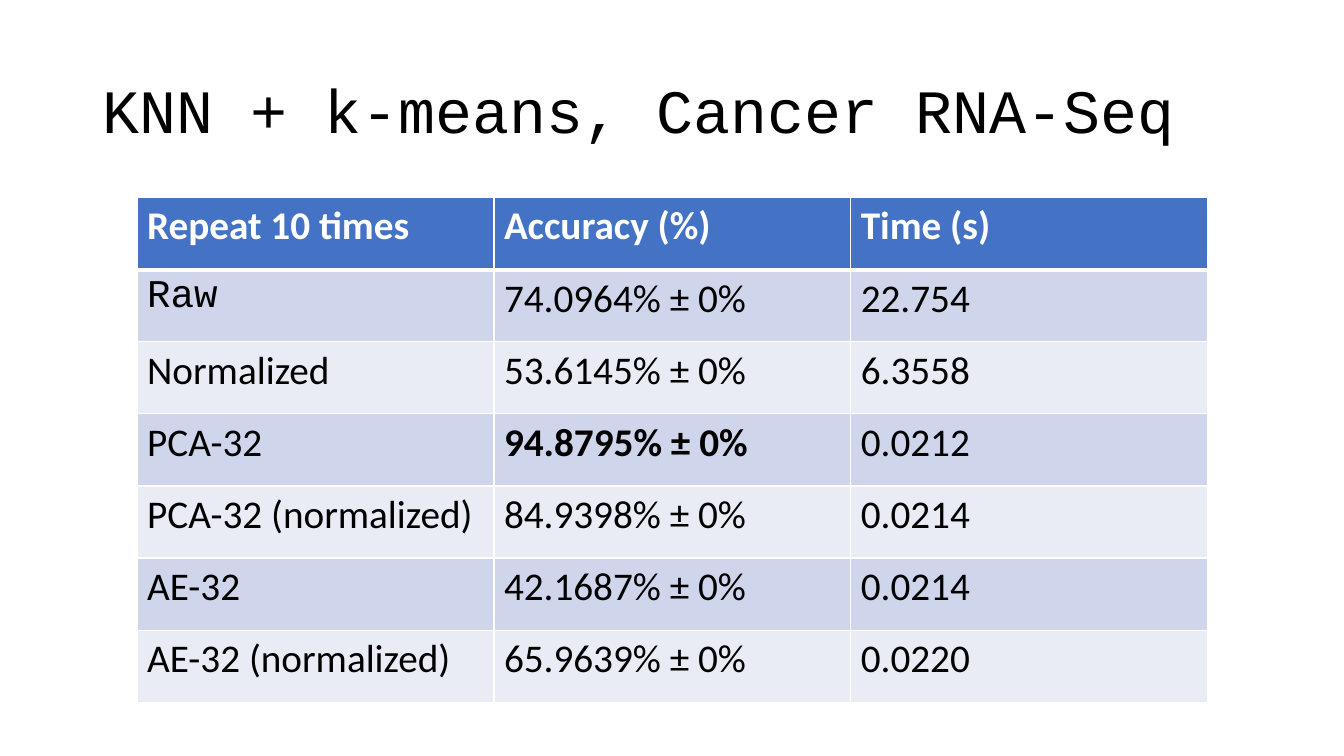
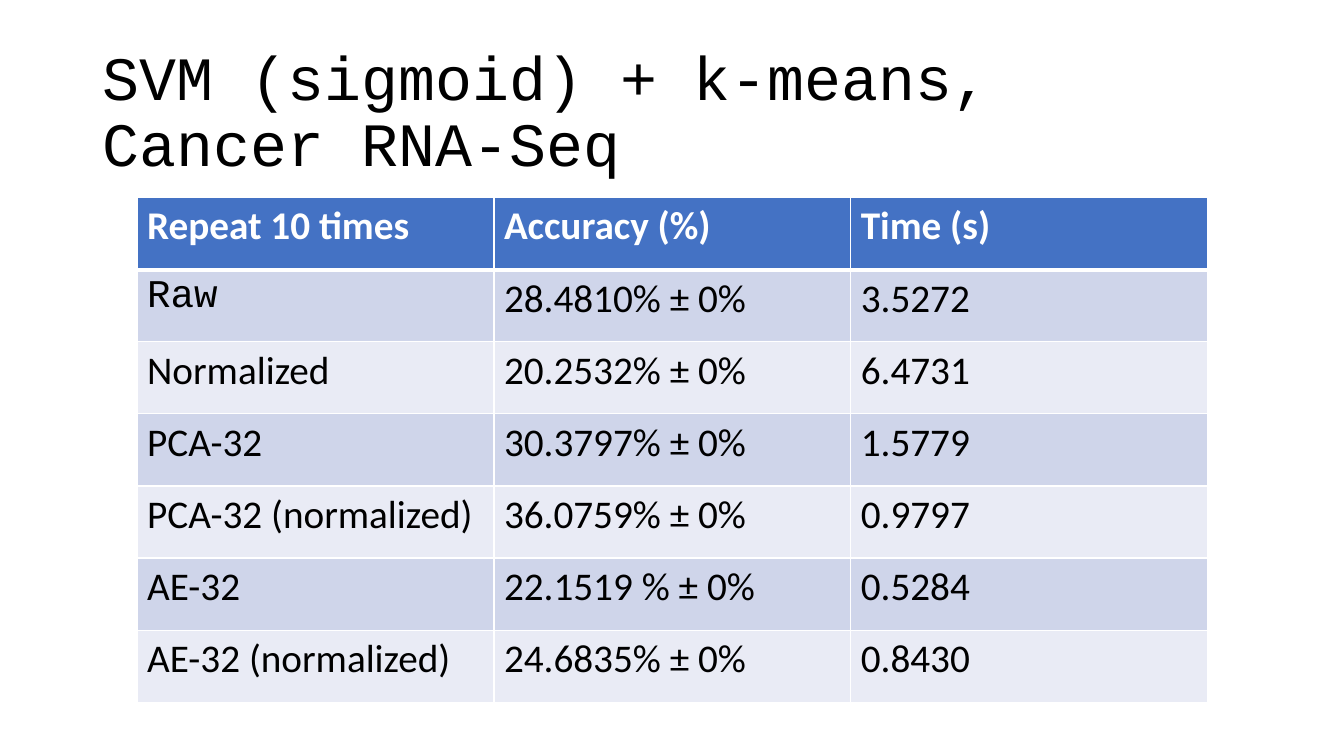
from dataclasses import dataclass

from lxml.etree import Element, SubElement
from pptx import Presentation
from pptx.dml.color import RGBColor
from pptx.enum.text import MSO_ANCHOR, MSO_AUTO_SIZE, PP_ALIGN
from pptx.oxml.ns import qn
from pptx.presentation import Presentation as Deck
from pptx.slide import Slide
from pptx.table import _Cell as Cell
from pptx.text.text import _Paragraph as Paragraph
from pptx.util import Inches, Length, Pt


@dataclass(frozen=True)
class Theme:
    """Colours, fonts and type sizes shared by the slides."""
    text: str = "000000"
    header_text: str = "FFFFFF"
    header_fill: str = "4472C4"
    bands: tuple[str, str] = ("CFD5EA", "E9EBF5")
    border: str = "FFFFFF"
    thin_line: int = 1
    thick_line: int = 3
    body_font: str = "Calibri"
    code_font: str = "Courier New"
    title_size: int = 44
    table_size: int = 28
    title_spacing: float = 0.9


@dataclass(frozen=True)
class Area:
    """A rectangle in percent of the slide's width and height."""
    left: float
    top: float
    width: float
    height: float

    def lengths(self) -> tuple[Length, Length, Length, Length]:
        """Convert the shares to left, top, width and height."""
        return (Inches(SLIDE_WIDTH * self.left / 100), Inches(SLIDE_HEIGHT * self.top / 100),
                Inches(SLIDE_WIDTH * self.width / 100), Inches(SLIDE_HEIGHT * self.height / 100))


@dataclass(frozen=True)
class Score:
    """Accuracy and running time of one feature set."""
    accuracy: str
    time: str
    best: bool = False


@dataclass(frozen=True)
class Experiment:
    """A slide title with one score per feature set."""
    title: str
    scores: tuple[Score, ...]


THEME = Theme()
SLIDE_WIDTH, SLIDE_HEIGHT = 13.33, 7.5
TITLE_AREA = Area(6.88, 5.33, 86.25, 19.33)
TABLE_AREA = Area(10.2, 26.13, 79.65, 66.8)
TITLE_ONLY_LAYOUT = 5
HEADERS = ("Repeat 10 times", "Accuracy (%)", "Time (s)")
FEATURES = ("Raw", "Normalized", "PCA-32", "PCA-32 (normalized)",
            "AE-32", "AE-32 (normalized)")
EXPERIMENTS = (
    Experiment("KNN + k-means, Cancer RNA-Seq", (
        Score("74.0964% ± 0%", "22.754"),
        Score("53.6145% ± 0%", "6.3558"),
        Score("94.8795% ± 0%", "0.0212", best=True),
        Score("84.9398% ± 0%", "0.0214"),
        Score("42.1687% ± 0%", "0.0214"),
        Score("65.9639% ± 0%", "0.0220"),
    )),
    Experiment("SVM (sigmoid) + k-means, Cancer RNA-Seq", (
        Score("28.4810% ± 0%", "3.5272"),
        Score("20.2532% ± 0%", "6.4731"),
        Score("30.3797% ± 0%", "1.5779"),
        Score("36.0759% ± 0%", "0.9797"),
        Score("22.1519 % ± 0%", "0.5284"),
        Score("24.6835% ± 0%", "0.8430"),
    )),
)


def add_run(paragraph: Paragraph, text: str, size: int, font: str,
            color: str, bold: bool = False) -> None:
    """Append one formatted run."""
    run = paragraph.add_run()
    run.text = text
    run.font.size = Pt(size)
    run.font.name = font
    run.font.bold = bold
    run.font.color.rgb = RGBColor.from_string(color)


def add_title(slide: Slide, text: str) -> None:
    """Place and format the title placeholder."""
    title = slide.shapes.title
    title.left, title.top, title.width, title.height = TITLE_AREA.lengths()
    frame = title.text_frame
    frame.word_wrap = True
    frame.auto_size = MSO_AUTO_SIZE.NONE
    frame.vertical_anchor = MSO_ANCHOR.MIDDLE
    paragraph = frame.paragraphs[0]
    paragraph.alignment = PP_ALIGN.LEFT
    paragraph.line_spacing = THEME.title_spacing
    add_run(paragraph, text, THEME.title_size, THEME.code_font, THEME.text)


def set_borders(cell: Cell, top: int, bottom: int) -> None:
    """Draw the four cell borders, with the given top and bottom widths."""
    properties = cell._tc.get_or_add_tcPr()
    widths = {"a:lnL": THEME.thin_line, "a:lnR": THEME.thin_line,
              "a:lnT": top, "a:lnB": bottom}
    for position, (tag, width) in enumerate(widths.items()):
        line = Element(qn(tag), w=str(Pt(width)))
        fill = SubElement(line, qn("a:solidFill"))
        SubElement(fill, qn("a:srgbClr"), val=THEME.border)
        properties.insert(position, line)


def fill_cell(cell: Cell, text: str, row: int, font: str, bold: bool) -> None:
    """Write one cell and style it by its row."""
    is_header = row == 0
    cell.fill.solid()
    cell.fill.fore_color.rgb = RGBColor.from_string(
        THEME.header_fill if is_header else THEME.bands[(row - 1) % 2])
    set_borders(cell,
                top=THEME.thick_line if row == 1 else THEME.thin_line,
                bottom=THEME.thick_line if is_header else THEME.thin_line)
    add_run(cell.text_frame.paragraphs[0], text, THEME.table_size, font,
            THEME.header_text if is_header else THEME.text, bold)


def add_score_table(slide: Slide, scores: tuple[Score, ...]) -> None:
    """Add the table of feature sets, accuracies and times."""
    left, top, width, height = TABLE_AREA.lengths()
    table = slide.shapes.add_table(len(scores) + 1, len(HEADERS),
                                   left, top, width, height).table
    for column, header in enumerate(HEADERS):
        fill_cell(table.cell(0, column), header, 0, THEME.body_font, True)
    for row, (feature, score) in enumerate(zip(FEATURES, scores), start=1):
        feature_font = THEME.code_font if feature == "Raw" else THEME.body_font
        fill_cell(table.cell(row, 0), feature, row, feature_font, False)
        fill_cell(table.cell(row, 1), score.accuracy, row, THEME.body_font, score.best)
        fill_cell(table.cell(row, 2), score.time, row, THEME.body_font, False)


def add_experiment(presentation: Deck, experiment: Experiment) -> None:
    """Add one slide for an experiment."""
    slide = presentation.slides.add_slide(presentation.slide_layouts[TITLE_ONLY_LAYOUT])
    add_title(slide, experiment.title)
    add_score_table(slide, experiment.scores)


def main() -> None:
    """Build and save the presentation."""
    presentation = Presentation()
    presentation.slide_width = Inches(SLIDE_WIDTH)
    presentation.slide_height = Inches(SLIDE_HEIGHT)
    for experiment in EXPERIMENTS:
        add_experiment(presentation, experiment)
    presentation.save("out.pptx")


main()
